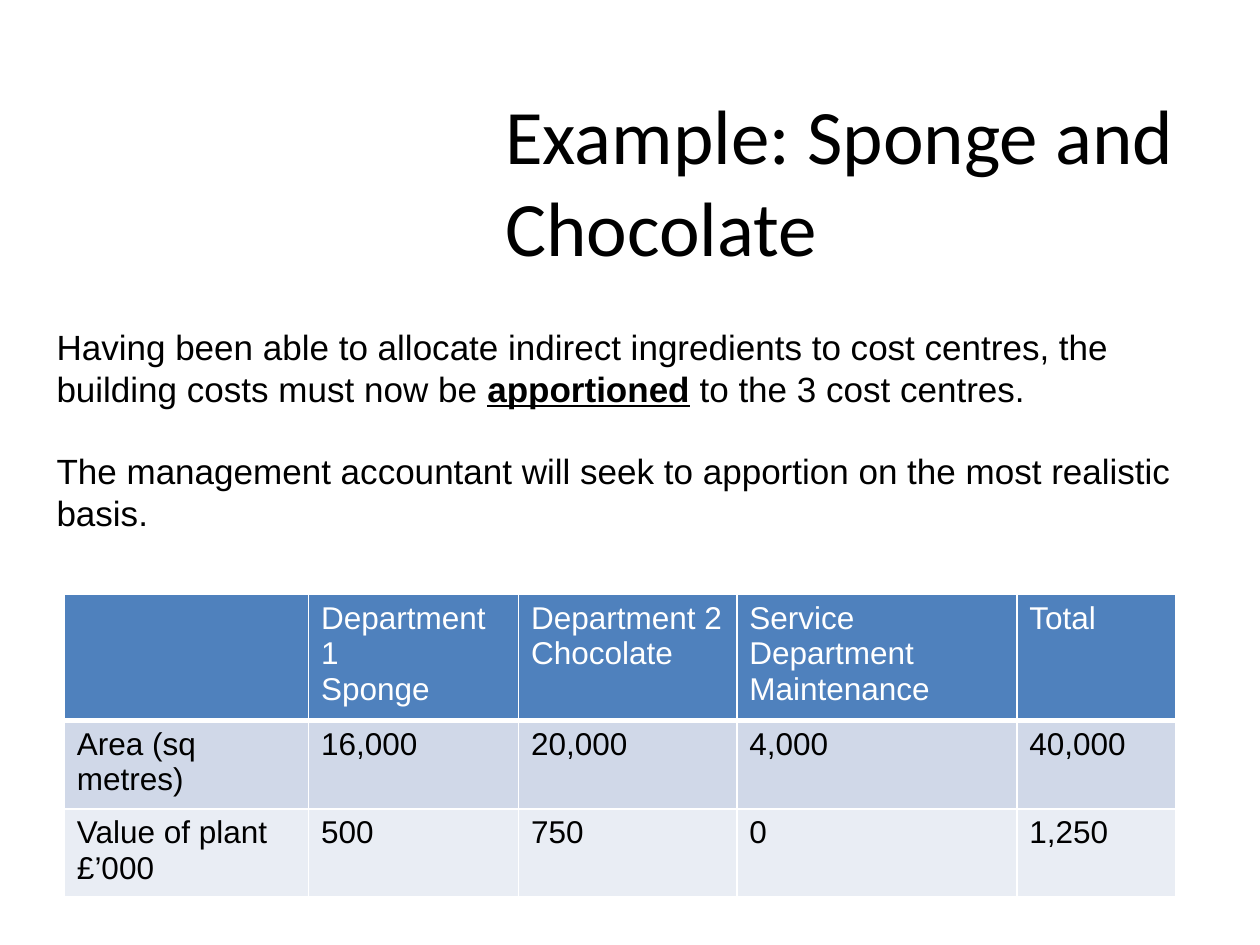
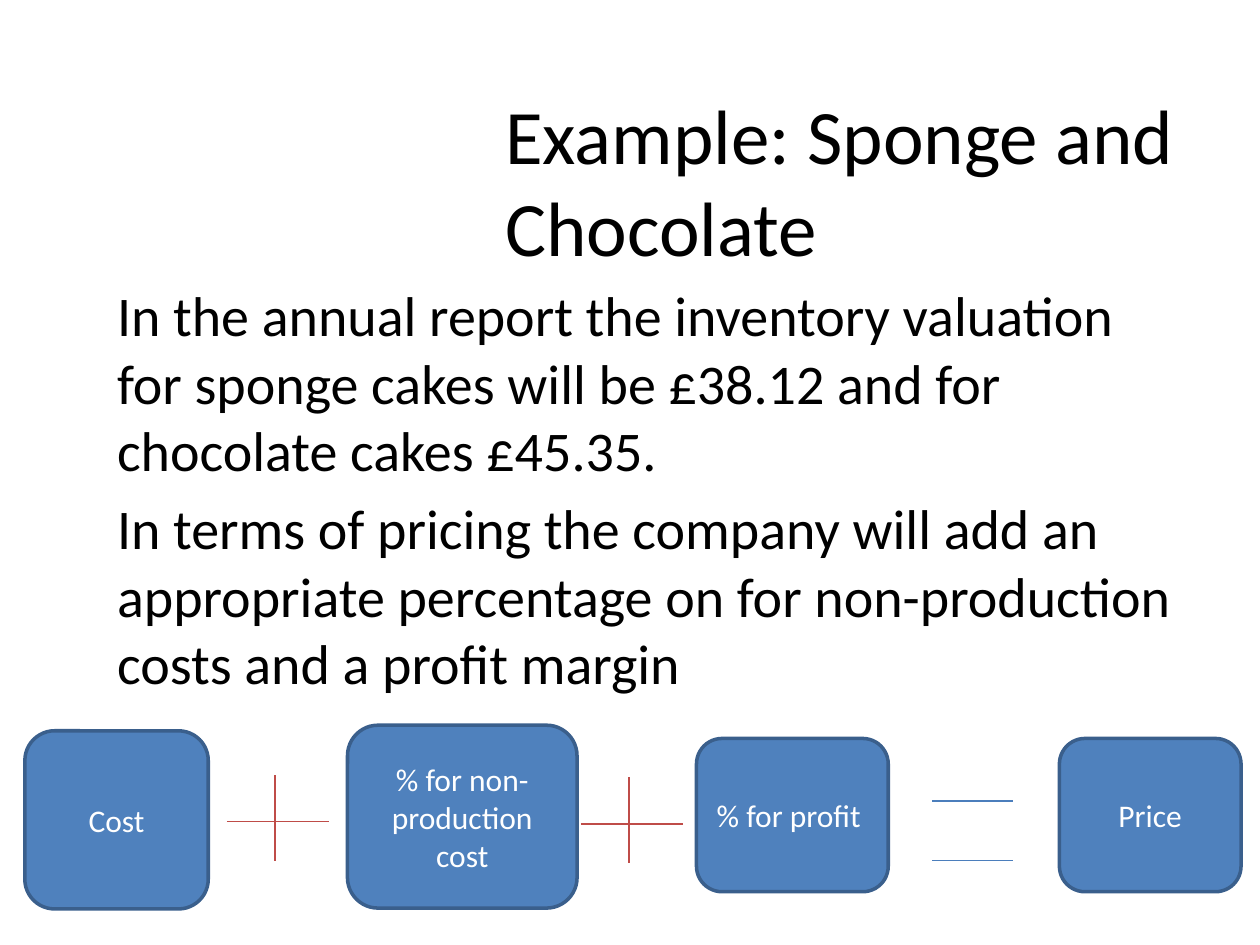
from pptx import Presentation
from pptx import util as u
from pptx.dml.color import RGBColor
from pptx.enum import shapes, text
from pptx.oxml import parse_xml
from pptx.oxml.ns import nsdecls
from lxml import etree

Pt = u.Pt
INK = {"black": "000000", "white": "FFFFFF", "blue": "4F81BD", "edge": "3A5F8C",
       "plus": "BF4C48", "equal": "4B7EBC", "odd": "D0D8E8", "even": "E9EDF4"}


def write(frame, paras, size=18, font="Calibri", color="black", align="LEFT",
          anchor="TOP", gap=0):
    """Fill a text frame; words between asterisks are bold and underlined."""
    frame.word_wrap = True
    frame.vertical_anchor = text.MSO_ANCHOR[anchor]
    for i, words in enumerate(paras):
        para = frame.paragraphs[0] if i == 0 else frame.add_paragraph()
        para.alignment = text.PP_ALIGN[align]
        para.space_before = Pt(gap if i else 0)
        for j, part in enumerate(words.split("*")):
            run = para.add_run()
            run.text = part
            run.font.size, run.font.name = Pt(size), font
            run.font.bold = run.font.underline = j % 2 == 1
            run.font.color.rgb = RGBColor.from_string(INK[color])


def rule(slide, color, *ends):
    """Draw a thin line without a shadow."""
    line = slide.shapes.add_connector(shapes.MSO_CONNECTOR.STRAIGHT,
                                      *[Pt(v) for v in ends])
    line.line.width = Pt(0.75)
    line.line.color.rgb = RGBColor.from_string(INK[color])
    etree.SubElement(line.line._get_or_add_ln().getparent(),
                     "{http://schemas.openxmlformats.org/drawingml/2006/main}effectLst")


deck = Presentation()
deck.slide_width, deck.slide_height = Pt(720), Pt(540)

# Both slides share one title
pages = []
for _ in range(2):
    page = deck.slides.add_slide(deck.slide_layouts[5])
    head = page.shapes.title
    head.left, head.top, head.width, head.height = Pt(281.5), Pt(57.6), Pt(430), Pt(90)
    head.text_frame.auto_size = text.MSO_AUTO_SIZE.NONE
    write(head.text_frame, ["Example: Sponge and Chocolate"], size=44, anchor="MIDDLE")
    pages.append(page)
first, last = pages

# Slide 1: introduction
intro = first.shapes.add_textbox(Pt(25.2), Pt(182.2), Pt(669), Pt(128))
write(intro.text_frame, [
    "Having been able to allocate indirect ingredients to cost centres, the building "
    "costs must now be *apportioned* to the 3 cost centres.",
    "The management accountant will seek to apportion on the most realistic basis.",
], size=20, font="Arial", gap=23)

# Slide 1: table of bases
rows = [
    ["", "Department 1\nSponge", "Department 2\nChocolate",
     "Service Department\nMaintenance", "Total"],
    ["Area (sq metres)", "16,000", "20,000", "4,000", "40,000"],
    ["Value of plant £’000", "500", "750", "0", "1,250"],
]
wide = [139.5, 120, 124.8, 160, 90.7]
high = [71.4, 50.4, 50.4]
fills = ["blue", "odd", "even"]
grid = first.shapes.add_table(3, 5, Pt(36.8), Pt(339.8),
                              Pt(sum(wide)), Pt(sum(high))).table
for col, width in zip(grid.columns, wide):
    col.width = Pt(width)
for r, row in enumerate(rows):
    grid.rows[r].height = Pt(high[r])
    for c, words in enumerate(row):
        cell = grid.cell(r, c)
        props = cell._tc.get_or_add_tcPr()
        for side in "LRTB":
            thick = Pt(3 if r == 0 and side == "B" else 1)
            props.append(parse_xml(
                f'<a:ln{side} {nsdecls("a")} w="{thick}"><a:solidFill>'
                f'<a:srgbClr val="{INK["white"]}"/></a:solidFill></a:ln{side}>'))
        cell.fill.solid()
        cell.fill.fore_color.rgb = RGBColor.from_string(INK[fills[r]])
        write(cell.text_frame, words.split("\n"), font="Arial",
              color="black" if r else "white")

# Slide 2: body
body = last.shapes.add_textbox(Pt(59.8), Pt(157), Pt(628), Pt(255))
write(body.text_frame, [
    "In the annual report the inventory valuation for sponge cakes will be £38.12 "
    "and for chocolate cakes £45.35.",
    "In terms of pricing the company will add an appropriate percentage on for "
    "non-production costs and a profit margin",
], size=32, gap=6.4)

# Slide 2: parts of the price
for words, *spot in [
    ("Cost", 14.2, 417.6, 104.8, 101.8),
    ("% for non-production cost", 198.6, 414.4, 131.2, 104.5),
    ("% for profit ", 398, 422, 109.6, 87.6),
    ("Price", 605.4, 422, 103.8, 87.6),
]:
    box = last.shapes.add_shape(shapes.MSO_SHAPE.FLOWCHART_ALTERNATE_PROCESS,
                                *[Pt(v) for v in spot])
    box.shadow.inherit = False
    box.fill.solid()
    box.fill.fore_color.rgb = RGBColor.from_string(INK["blue"])
    box.line.color.rgb = RGBColor.from_string(INK["edge"])
    box.line.width = Pt(2)
    write(box.text_frame, [words], color="white", align="CENTER", anchor="MIDDLE")

# Slide 2: plus and equals signs
for x, y in [(129.6, 469.4), (331.9, 470.8)]:
    rule(last, "plus", x + 27.5, y - 26.5, x + 27.5, y + 22.5)
    rule(last, "plus", x, y, x + 58.3, y)
for y in (457.8, 491.8):
    rule(last, "equal", 532.8, y, 578.9, y)

deck.save("out.pptx")
